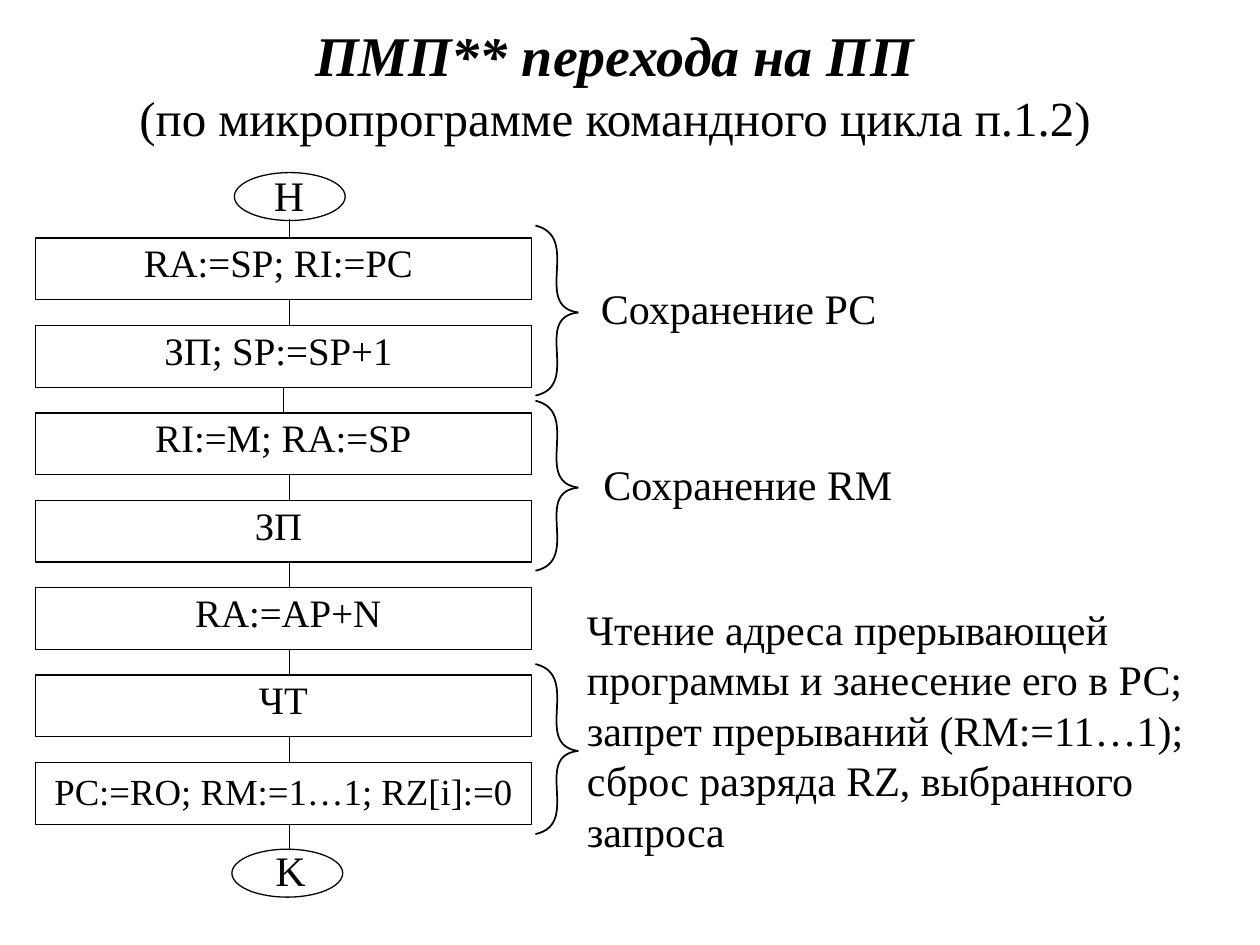
from dataclasses import dataclass

from lxml import etree
from pptx import Presentation, util as u
from pptx.dml.color import RGBColor
from pptx.enum import shapes, text
from pptx.oxml.ns import qn

INK = "000000"
FONT = "Times New Roman"
CENTER, LEFT = text.PP_ALIGN.CENTER, text.PP_ALIGN.LEFT

# All lengths below are percentages of the slide's width (x) or height (y).
STEP_LEFT, STEP_WIDTH, STEP_HEIGHT = 2.8, 39.4, 6.53
FIRST_STEP, STEP_PITCH = 25.2, 9.25
FLOW_X = 23

prs = Presentation()
prs.slide_width, prs.slide_height = u.Inches(10), u.Inches(7.5)
slide = prs.slides.add_slide(prs.slide_layouts[5])


@dataclass
class Step:
    label: str
    size: float = 22.2
    spacing: float = 0.9


@dataclass
class Terminal:
    label: str
    oval: tuple[float, float]
    label_at: tuple[float, float]


@dataclass
class Note:
    paragraphs: list[str]
    area: tuple[float, float, float, float]
    brace_tip: float


STEPS = [
    Step("RA:=SP; RI:=PC "),
    Step("ЗП; SP:=SP+1 "),
    Step("RI:=M; RA:=SP"),
    Step("ЗП "),
    Step(" RA:=AP+N"),
    Step("ЧТ"),
    Step("PC:=RO; RM:=1…1; RZ[i]:=0", size=21, spacing=1.0),
]
TERMINALS = [
    Terminal("Н", (18.6, 18.27), (17.1, 17.33)),
    Terminal("K", (18.4, 89.87), (17.2, 88.67)),
]
NOTES = [
    Note(["Сохранение РС"], (46.7, 29.2, 46.2, 6.67), 33.07),
    Note(["Сохранение RM"], (46.9, 47.87, 45.7, 6.67), 51.6),
    Note(["Чтение адреса прерывающей программы и занесение его в РС; "
          "запрет прерываний (RM:=11…1);",
          "сброс разряда RZ, выбранного запроса"],
         (45.6, 63.2, 54.4, 28.8), 79.47),
]
# Bezier points of each brace half: x, then y relative to the tip.
BRACE_HALVES = [
    [(45.9, 0), (42.2, -0.67), (46.2, -8), (42.5, -9.2)],
    [(45.9, 0), (42.2, 0.53), (46.2, 7.73), (42.5, 8.8)],
]


def color(value: str) -> RGBColor:
    return RGBColor.from_string(value)


def across(share: float) -> int:
    return round(prs.slide_width * share / 100)


def down(share: float) -> int:
    return round(prs.slide_height * share / 100)


def box(left: float, top: float, width: float, height: float) -> tuple:
    return across(left), down(top), across(width), down(height)


def outline(shape, width: float = 0.75) -> None:
    shape.shadow.inherit = False
    shape.fill.background()
    shape.line.color.rgb = color(INK)
    shape.line.width = u.Pt(width)


def style_font(font, size: float, bold: bool = False, italic: bool = False) -> None:
    values = {"name": FONT, "size": u.Pt(size), "bold": bold, "italic": italic}
    for key, value in values.items():
        setattr(font, key, value)
    font.color.rgb = color(INK)


def write(shape, paragraphs: list[str], size: float, align, spacing: float = 1.0) -> None:
    frame = shape.text_frame
    frame.word_wrap = True
    frame.vertical_anchor = text.MSO_ANCHOR.TOP
    frame.text = "\n".join(paragraphs)
    for paragraph in frame.paragraphs:
        paragraph.alignment = align
        paragraph.line_spacing = spacing
        style_font(paragraph.font, size)


def draw_title() -> None:
    title = slide.shapes.title
    title.left, title.top, title.width, title.height = box(0, 1.2, 97.6, 15.2)
    frame = title.text_frame
    frame.auto_size = text.MSO_AUTO_SIZE.NONE
    frame.vertical_anchor = text.MSO_ANCHOR.MIDDLE
    heading = frame.paragraphs[0]
    heading.alignment = CENTER
    name = heading.add_run()
    name.text = "ПМП** перехода на ПП"
    style_font(name.font, 32, bold=True, italic=True)
    heading.add_line_break()
    source = heading.add_run()
    source.text = "(по микропрограмме командного цикла п.1.2)"
    style_font(source.font, 28)


def draw_step(index: int, step: Step):
    top = FIRST_STEP + index * STEP_PITCH
    block = slide.shapes.add_shape(
        shapes.MSO_SHAPE.RECTANGLE, *box(STEP_LEFT, top, STEP_WIDTH, STEP_HEIGHT))
    outline(block)
    write(block, [step.label], step.size, CENTER, step.spacing)
    return block


def draw_terminal(terminal: Terminal) -> None:
    outline(slide.shapes.add_shape(
        shapes.MSO_SHAPE.OVAL, *box(*terminal.oval, 8.8, 5.07)))
    label = slide.shapes.add_textbox(*box(*terminal.label_at, 11.7, 6.93))
    write(label, [terminal.label], 24, CENTER)


def draw_link(top: float, bottom: float):
    link = slide.shapes.add_connector(
        shapes.MSO_CONNECTOR.STRAIGHT,
        across(FLOW_X), down(top), across(FLOW_X), down(bottom))
    link.line.color.rgb = color(INK)
    link.line.width = u.Pt(0.75)
    etree.SubElement(link.element.spPr, qn("a:effectLst"))
    return link


def draw_brace(tip: float) -> None:
    group = slide.shapes.add_group_shape()
    for half in BRACE_HALVES:
        start, *controls = [(across(x), down(tip + dy)) for x, dy in half]
        builder = group.shapes.build_freeform(*start)
        builder.add_line_segments(controls, close=False)
        curve = builder.convert_to_shape()
        outline(curve, width=1)
        bend_lines(curve)


def bend_lines(curve) -> None:
    """Turn the three straight segments into one cubic Bezier segment."""
    contour = next(curve.element.iter(qn("a:path")))
    bezier = etree.SubElement(contour, qn("a:cubicBezTo"))
    for segment in contour.findall(qn("a:lnTo")):
        bezier.append(segment[0])
        contour.remove(segment)


def draw_note(note: Note) -> None:
    draw_brace(note.brace_tip)
    write(slide.shapes.add_textbox(*box(*note.area)), note.paragraphs, 24, LEFT)


draw_title()
for terminal in TERMINALS:
    draw_terminal(terminal)
blocks = [draw_step(index, step) for index, step in enumerate(STEPS)]

draw_link(23.2, FIRST_STEP)
for index in range(len(STEPS)):
    bottom = FIRST_STEP + index * STEP_PITCH + STEP_HEIGHT
    link = draw_link(bottom, bottom + STEP_PITCH - STEP_HEIGHT)
    if index == 1:  # the only link on the blocks' centre line
        link.begin_connect(blocks[index], 2)
        link.end_connect(blocks[index + 1], 0)

for note in NOTES:
    draw_note(note)

prs.save("out.pptx")
